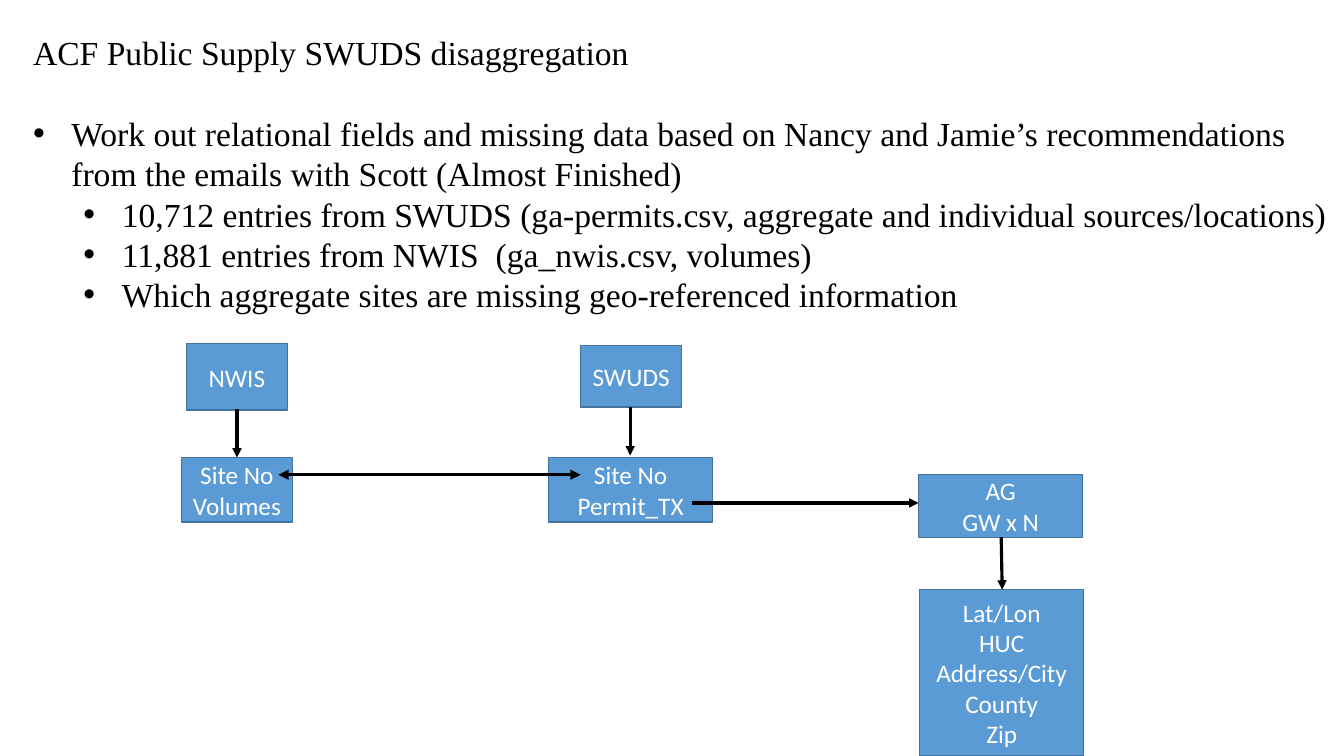
from dataclasses import dataclass

from lxml.etree import SubElement
from pptx import Presentation
from pptx.dml.color import RGBColor as Color
from pptx.enum.shapes import MSO_CONNECTOR as Connector, MSO_SHAPE as Preset
from pptx.enum.text import MSO_ANCHOR as Anchor, PP_ALIGN as Align
from pptx.oxml.ns import qn
from pptx.util import Inches, Pt


@dataclass(frozen=True)
class Theme:
    """Colours, fonts and type sizes of the slide."""
    ink: Color = Color(0x00, 0x00, 0x00)
    paper: Color = Color(0xFF, 0xFF, 0xFF)
    box_fill: Color = Color(0x5B, 0x9B, 0xD5)
    box_line: Color = Color(0x43, 0x73, 0x9E)
    body_font: str = "Times New Roman"
    box_font: str = "Calibri"
    body_size: float = 24
    body_leading: float = 28.8
    box_size: float = 18


class Builder:
    """Draws each kind of element on one page in a shared theme."""

    def __init__(self, page, theme):
        self.page = page
        self.theme = theme

    def style(self, para, font, size, color):
        """Set the font of a whole paragraph."""
        para.font.name = font
        para.font.size = Pt(size)
        para.font.color.rgb = color

    def bullet(self, para, level):
        """Give a paragraph a hanging bullet at its level."""
        para.level = level
        props = para._p.get_or_add_pPr()
        props.set("marL", str(Inches(0.38 + 0.5 * level)))
        props.set("indent", str(Inches(-0.38)))
        SubElement(props, qn("a:buFont"), typeface="Arial")
        SubElement(props, qn("a:buChar"), char="•")

    def outline(self, left, top, width, height, title, points):
        """Add a title followed by bulleted points."""
        theme = self.theme
        box = self.page.shapes.add_textbox(*map(Inches, (left, top, width, height)))
        frame = box.text_frame
        frame.word_wrap = True
        frame.text = "\n".join([title] + [text for _, text in points])
        for para in frame.paragraphs:
            self.style(para, theme.body_font, theme.body_size, theme.ink)
            para.line_spacing = Pt(theme.body_leading)
        frame.paragraphs[0].space_after = Pt(theme.body_leading)
        for para, (level, _) in zip(frame.paragraphs[1:], points):
            self.bullet(para, level)

    def box(self, left, top, width, height, *lines):
        """Add a filled box with centred lines of text."""
        theme = self.theme
        box = self.page.shapes.add_shape(
            Preset.RECTANGLE, *map(Inches, (left, top, width, height)))
        box.shadow.inherit = False
        box.fill.solid()
        box.fill.fore_color.rgb = theme.box_fill
        box.line.color.rgb = theme.box_line
        box.line.width = Pt(1)
        frame = box.text_frame
        frame.word_wrap = True
        frame.vertical_anchor = Anchor.MIDDLE
        frame.text = "\n".join(lines)
        for para in frame.paragraphs:
            para.alignment = Align.CENTER
            self.style(para, theme.box_font, theme.box_size, theme.paper)

    def arrow(self, start, end, weight=2.25, both=False):
        """Add an arrow, pointing both ways if asked."""
        arrow = self.page.shapes.add_connector(
            Connector.STRAIGHT, *map(Inches, start + end))
        arrow.line.color.rgb = self.theme.ink
        arrow.line.width = Pt(weight)
        line = arrow.line._get_or_add_ln()
        for tip in ("a:headEnd", "a:tailEnd") if both else ("a:tailEnd",):
            SubElement(line, qn(tip), type="triangle")
        SubElement(arrow._element.spPr, qn("a:effectLst"))


def main():
    """Build the slide and save it."""
    deck = Presentation()
    deck.slide_width, deck.slide_height = Inches(13.33), Inches(7.5)
    page = deck.slides.add_slide(deck.slide_layouts[6])
    draw = Builder(page, Theme())

    draw.outline(0.23, 0.27, 13.07, 3.33, "ACF Public Supply SWUDS disaggregation", [
        (0, "Work out relational fields and missing data based on Nancy and Jamie’s "
            "recommendations from the emails with Scott (Almost Finished)"),
        (1, "10,712 entries from SWUDS (ga-permits.csv, aggregate and individual "
            "sources/locations)"),
        (1, "11,881 entries from NWIS  (ga_nwis.csv, volumes)"),
        (1, "Which aggregate sites are missing geo-referenced information"),
    ])

    draw.box(1.85, 3.41, 1, 0.66, "NWIS")
    draw.box(1.8, 4.54, 1.1, 0.64, "Site No", "Volumes")
    draw.box(5.76, 3.43, 1, 0.61, "SWUDS")
    draw.box(5.44, 4.54, 1.63, 0.64, "Site No", "Permit_TX")
    draw.box(9.11, 4.71, 1.63, 0.62, "AG", "GW x N")
    draw.box(9.12, 5.85, 1.63, 1.65, "Lat/Lon", "HUC", "Address/City", "County", "Zip")

    draw.arrow((2.35, 4.06), (2.35, 4.54))
    draw.arrow((6.25, 4.04), (6.25, 4.52))
    draw.arrow((2.76, 4.71), (5.76, 4.71), weight=2.5, both=True)
    draw.arrow((6.86, 4.99), (9.11, 4.99))
    draw.arrow((9.93, 5.33), (9.94, 5.85))

    deck.save("out.pptx")


if __name__ == "__main__":
    main()
